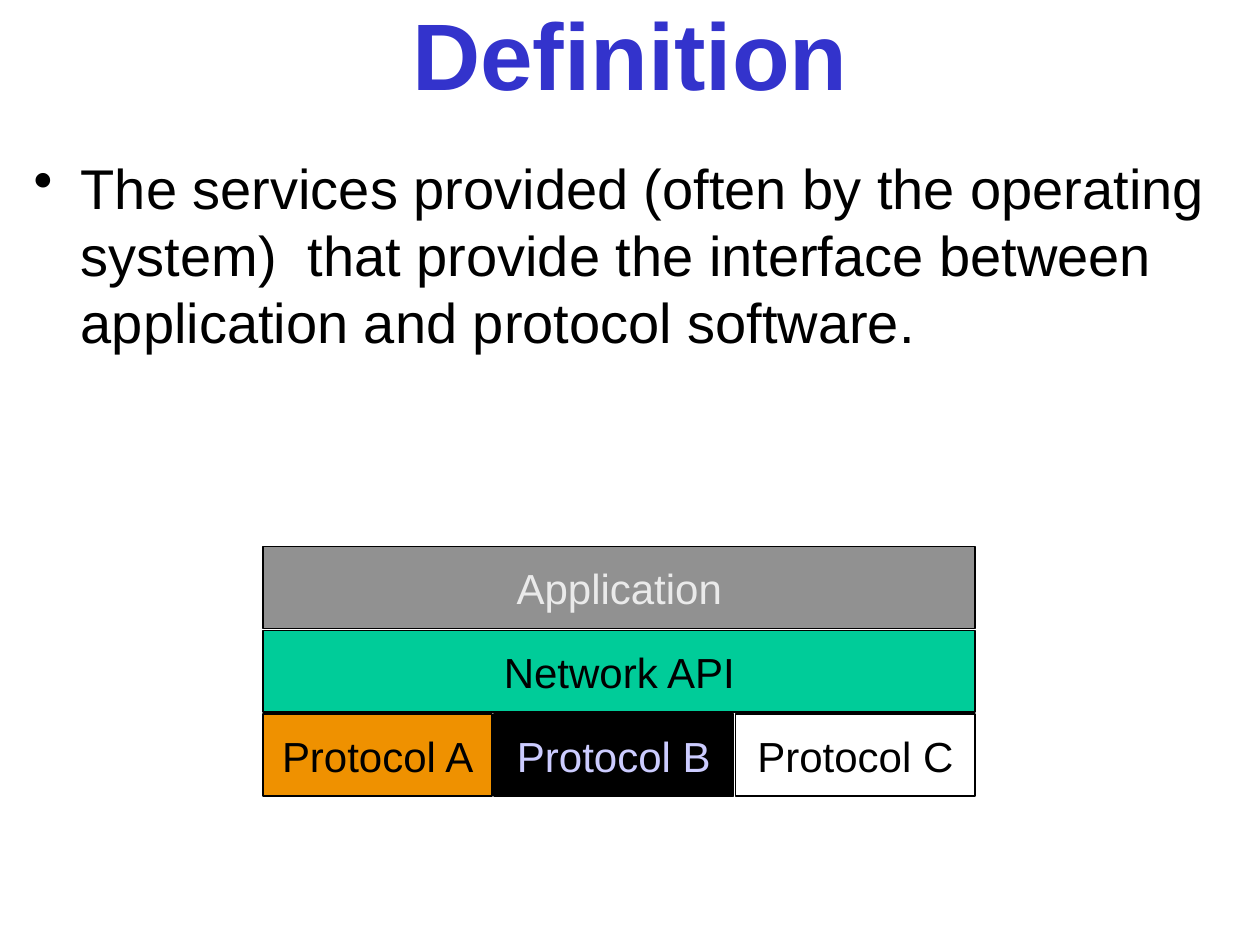
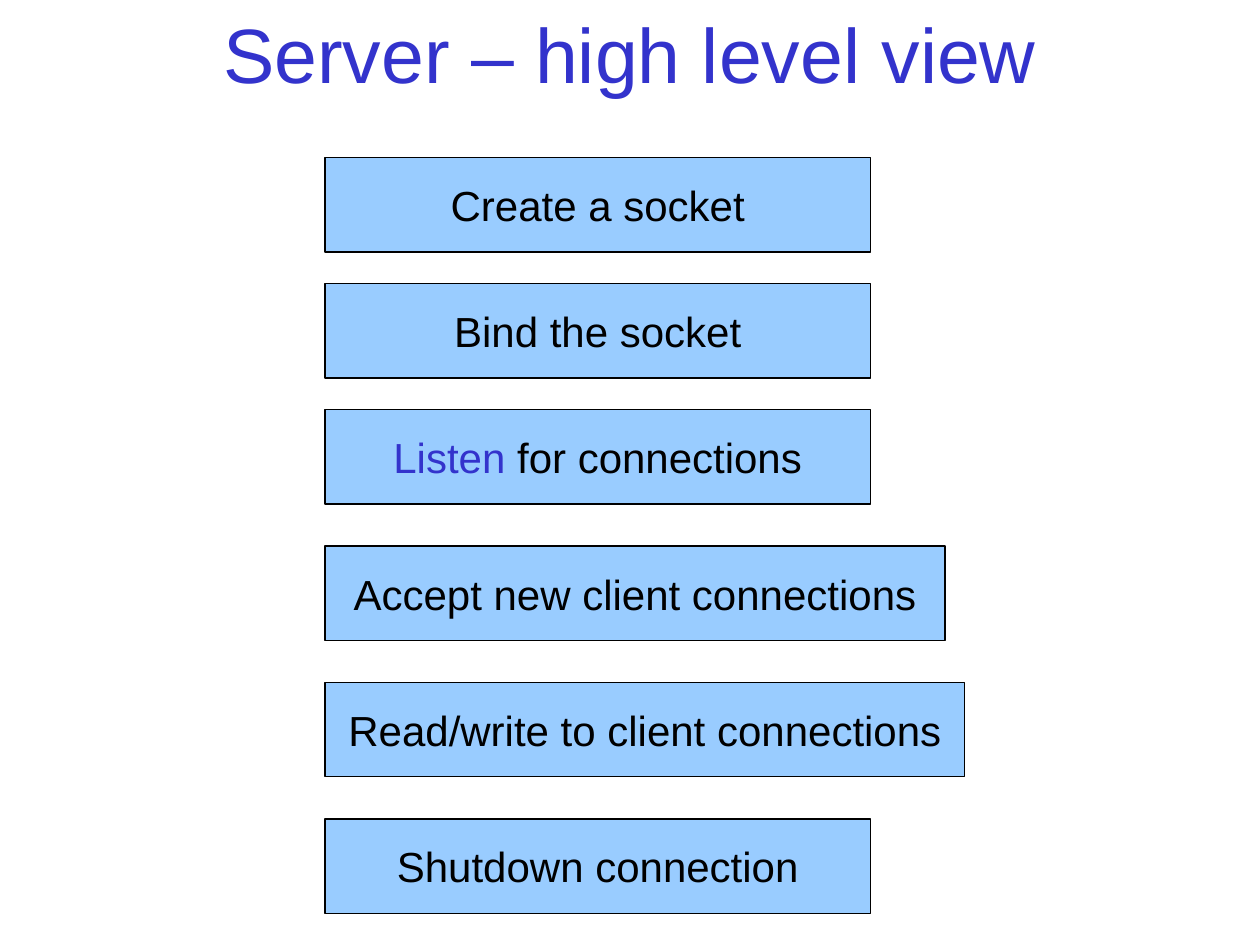
import dataclasses

import pptx
import pptx.dml.color
import pptx.enum.shapes
import pptx.enum.text
import pptx.oxml.ns
import pptx.shapes.autoshape
import pptx.slide
import pptx.util
from lxml import etree

Cm = pptx.util.Cm
Pt = pptx.util.Pt
RGBColor = pptx.dml.color.RGBColor

BLACK = RGBColor(0x00, 0x00, 0x00)
WHITE = RGBColor(0xFF, 0xFF, 0xFF)
TITLE_BLUE = RGBColor(0x33, 0x33, 0xCC)
GRAY = RGBColor(0x91, 0x91, 0x91)
PALE_GRAY = RGBColor(0xEA, 0xEA, 0xEA)
GREEN = RGBColor(0x00, 0xCC, 0x99)
ORANGE = RGBColor(0xEF, 0x91, 0x00)
LAVENDER = RGBColor(0xCC, 0xCC, 0xFF)
STEP_BLUE = RGBColor(0x99, 0xCC, 0xFF)

FONT = "Arial"
SLIDE_WIDTH, SLIDE_HEIGHT = 25.4, 19.05
BULLET_INDENT = 0.95

STACK_LEFT, STACK_TOP = 5.31, 11.02
LAYER_HEIGHT, LAYER_GAP = 1.65, 0.04

STEP_LEFT, STEP_TOP = 6.55, 3.18
STEP_WIDTH, STEP_HEIGHT = 11.0, 1.9
SETUP_PITCH, SERVICE_PITCH = 2.54, 2.75
SETUP_COUNT = 3


@dataclasses.dataclass(frozen=True)
class Layer:
    label: str
    width: float
    fill: RGBColor
    color: RGBColor = BLACK


@dataclasses.dataclass(frozen=True)
class Step:
    label: str
    width: float = STEP_WIDTH
    keyword: str = ""


LAYER_ROWS = (
    (Layer("Application", 14.35, GRAY, PALE_GRAY),),
    (Layer("Network API", 14.35, GREEN),),
    (
        Layer("Protocol A", 4.61, ORANGE),
        Layer("Protocol B", 4.83, BLACK, LAVENDER),
        Layer("Protocol C", 4.83, WHITE),
    ),
)

SERVER_STEPS = (
    Step("Create a socket"),
    Step("Bind the socket"),
    Step(" for connections", keyword="Listen"),
    Step("Accept new client connections", width=12.5),
    Step("Read/write to client connections", width=12.9),
    Step("Shutdown connection"),
)


def write_text(
    shape: pptx.shapes.autoshape.Shape,
    text: str,
    *,
    size: float = 24,
    color: RGBColor = BLACK,
    bold: bool = False,
    keyword: str = "",
    alignment: pptx.enum.text.PP_ALIGN = pptx.enum.text.PP_ALIGN.CENTER,
    anchor: pptx.enum.text.MSO_ANCHOR = pptx.enum.text.MSO_ANCHOR.MIDDLE,
    wrap: bool = False,
    space_before: float = 0.3,
    bullet: str = "",
) -> None:
    """Fill the shape with one paragraph, led by an optional blue keyword."""
    frame = shape.text_frame
    frame.word_wrap = wrap
    frame.vertical_anchor = anchor
    paragraph = frame.paragraphs[0]
    paragraph.alignment = alignment
    paragraph.space_before = Pt(space_before)
    paragraph.space_after = Pt(0.3)
    if bullet:
        properties = paragraph._p.get_or_add_pPr()
        properties.set("marL", str(Cm(BULLET_INDENT)))
        properties.set("indent", str(-Cm(BULLET_INDENT)))
        mark = etree.SubElement(properties, pptx.oxml.ns.qn("a:buChar"))
        mark.set("char", bullet)
    for part, part_color in ((keyword, TITLE_BLUE), (text, color)):
        if part:
            run = paragraph.add_run()
            run.text = part
            run.font.name = FONT
            run.font.size = Pt(size)
            run.font.bold = bold
            run.font.color.rgb = part_color


def add_box(
    slide: pptx.slide.Slide,
    left: float,
    top: float,
    width: float,
    height: float,
    fill: RGBColor,
    line_width: float,
) -> pptx.shapes.autoshape.Shape:
    box = slide.shapes.add_shape(
        pptx.enum.shapes.MSO_SHAPE.RECTANGLE, Cm(left), Cm(top), Cm(width), Cm(height)
    )
    box.shadow.inherit = False
    box.fill.solid()
    box.fill.fore_color.rgb = fill
    box.line.color.rgb = BLACK
    box.line.width = Pt(line_width)
    return box


def add_titled_slide(
    presentation: pptx.presentation.Presentation, title: str, size: float, bold: bool = False
) -> pptx.slide.Slide:
    slide = presentation.slides.add_slide(presentation.slide_layouts[6])
    title_box = slide.shapes.add_textbox(0, 0, Cm(SLIDE_WIDTH), Cm(2.12))
    write_text(title_box, title, size=size, color=TITLE_BLUE, bold=bold, wrap=True)
    return slide


def add_layer_stack(slide: pptx.slide.Slide) -> None:
    for row_index, row in enumerate(LAYER_ROWS):
        top = STACK_TOP + row_index * (LAYER_HEIGHT + LAYER_GAP)
        left = STACK_LEFT
        for layer in row:
            box = add_box(slide, left, top, layer.width, LAYER_HEIGHT, layer.fill, 1)
            write_text(box, layer.label, color=layer.color)
            left += layer.width + LAYER_GAP


def add_server_steps(slide: pptx.slide.Slide) -> None:
    """Stack the steps, with a wider pitch once the setup steps are done."""
    top = STEP_TOP
    for number, step in enumerate(SERVER_STEPS, start=1):
        box = add_box(slide, STEP_LEFT, top, step.width, STEP_HEIGHT, STEP_BLUE, 0.75)
        write_text(box, step.label, keyword=step.keyword)
        top += SETUP_PITCH if number < SETUP_COUNT else SERVICE_PITCH


def main() -> None:
    presentation = pptx.Presentation()
    presentation.slide_width = Cm(SLIDE_WIDTH)
    presentation.slide_height = Cm(SLIDE_HEIGHT)

    definition = add_titled_slide(presentation, "Definition", 54, bold=True)
    body = definition.shapes.add_textbox(Cm(0.43), Cm(2.97), Cm(24.97), Cm(5.69))
    write_text(
        body,
        "The services provided (often by the operating system)  that provide "
        "the interface between application and protocol software.",
        size=32,
        alignment=pptx.enum.text.PP_ALIGN.LEFT,
        anchor=pptx.enum.text.MSO_ANCHOR.TOP,
        wrap=True,
        space_before=8.2,
        bullet="•",
    )
    add_layer_stack(definition)

    server = add_titled_slide(presentation, "Server – high level view", 44)
    add_server_steps(server)

    presentation.save("out.pptx")


if __name__ == "__main__":
    main()
